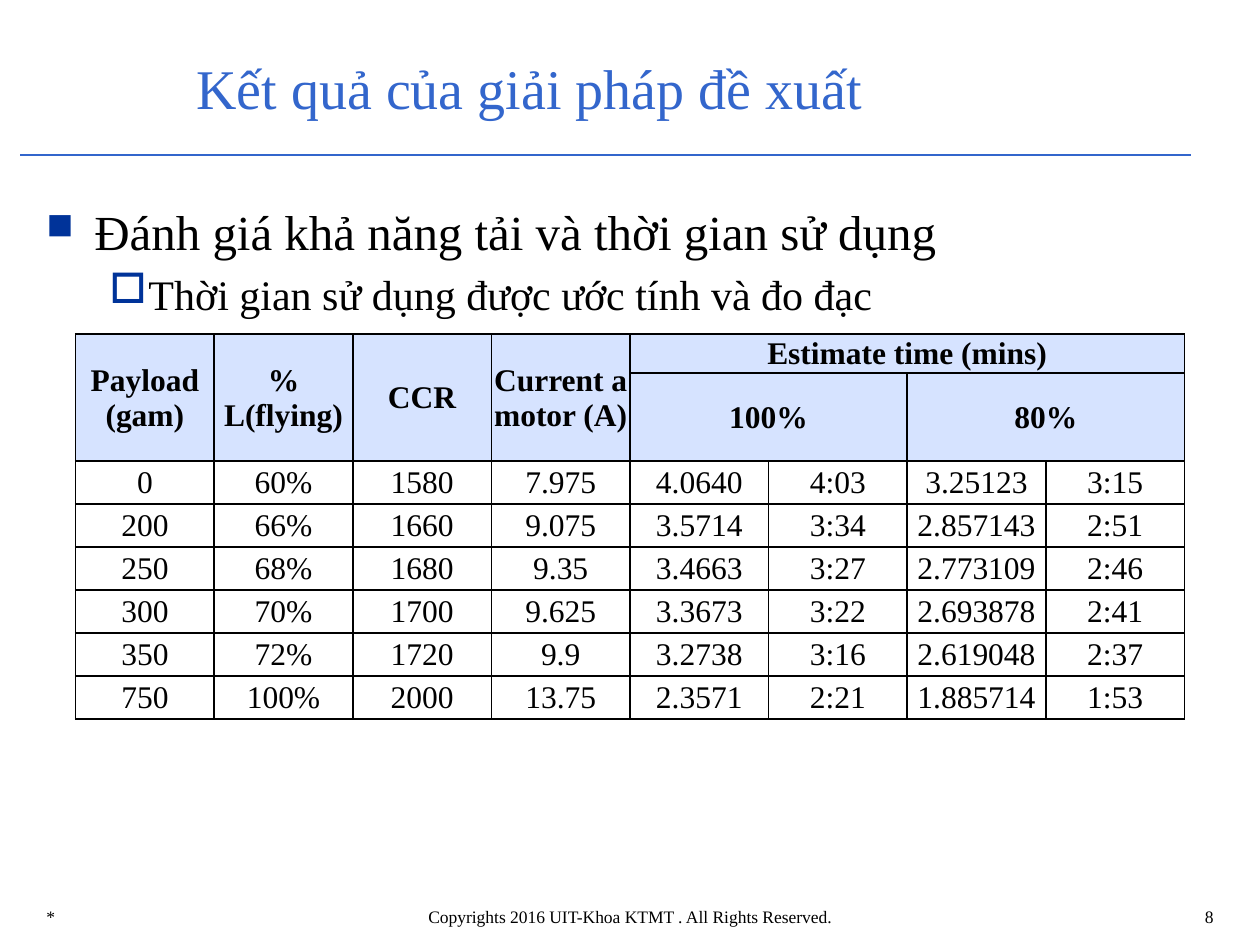
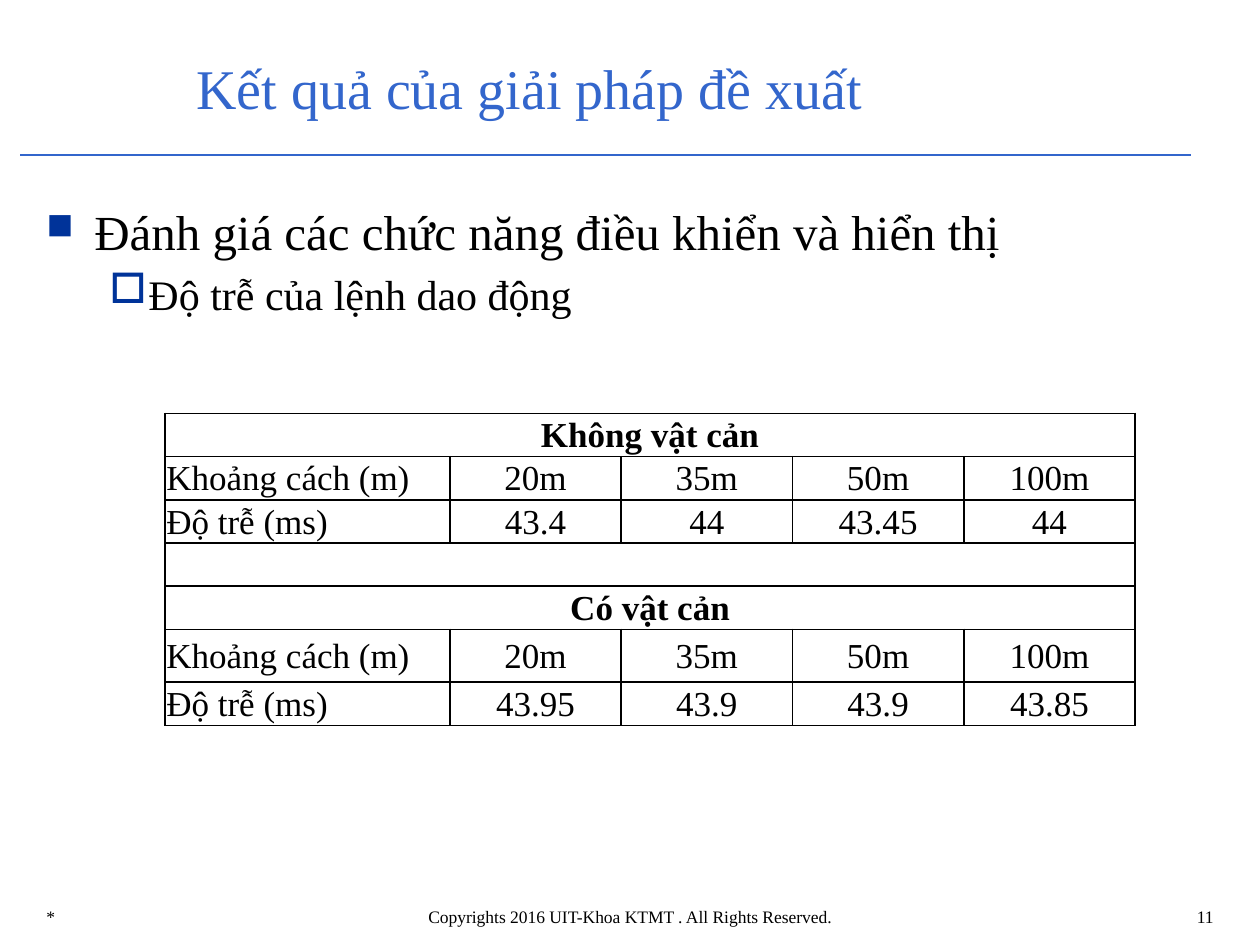
"""Build two result slides, each with a title, two bullet levels and a bordered table."""

from dataclasses import dataclass
from typing import Optional

from lxml.etree import SubElement
from pptx import Presentation
from pptx.dml.color import RGBColor
from pptx.enum.shapes import MSO_CONNECTOR
from pptx.enum.text import MSO_ANCHOR, MSO_AUTO_SIZE, PP_ALIGN
from pptx.oxml.ns import qn
from pptx.slide import Slide
from pptx.table import Table, _Cell
from pptx.text.text import TextFrame, _Paragraph
from pptx.util import Inches, Length, Pt

SLIDE_WIDTH, SLIDE_HEIGHT = Inches(10), Inches(7.5)
GRID_COLUMNS, GRID_ROWS = 100, 75
TITLE_ONLY_LAYOUT = 5

FONT_NAME = "Times New Roman"
BULLET_FONT_NAME = "Wingdings"
BLACK = RGBColor(0x00, 0x00, 0x00)
WHITE = RGBColor(0xFF, 0xFF, 0xFF)
TITLE_BLUE = RGBColor(0x33, 0x66, 0xCC)
BULLET_BLUE = RGBColor(0x00, 0x33, 0x99)
HEADING_BLUE = RGBColor(0xD6, 0xE3, 0xFF)

TITLE = "Kết quả của giải pháp đề xuất"
COPYRIGHT = "Copyrights 2016 UIT-Khoa KTMT . All Rights Reserved."


@dataclass(frozen=True)
class Box:
    """A rectangle in grid columns and rows."""

    column: float
    row: float
    columns: float
    rows: float

    def lengths(self) -> tuple[Length, Length, Length, Length]:
        """Return left, top, width and height."""
        return across(self.column), down(self.row), across(self.columns), down(self.rows)


@dataclass(frozen=True)
class BulletLevel:
    """The look of one bullet level, its symbol given as a key of the bullet font."""

    symbol: str
    symbol_percent: int
    size: float
    indent: float
    hanging: float
    space_before: float


@dataclass(frozen=True)
class Span:
    """A block of merged table cells."""

    row: int
    column: int
    rows: int
    columns: int


@dataclass(frozen=True)
class ResultTable:
    """The content and look of one table of results."""

    column: float
    row: float
    column_widths: list[float]
    row_heights: list[float]
    cells: list[list[str]]
    spans: list[Span]
    heading_rows: set[int]
    size: float
    heading_fill: RGBColor
    body_fill: Optional[RGBColor] = None
    labels_left: bool = False


@dataclass(frozen=True)
class ResultSlide:
    """One slide with its number, bullets and table."""

    number: str
    bullets: list[str]
    table: ResultTable


TITLE_BOX = Box(14.6, 3.1, 80.4, 7.6)
BODY_BOX = Box(2.7, 15.5, 94.5, 52.8)
DATE_BOX = Box(2.7, 71.4, 23.3, 3.2)
COPYRIGHT_BOX = Box(19.3, 71.4, 61.4, 3.2)
NUMBER_BOX = Box(78.1, 71.4, 19.2, 3.2)
RULE = Box(1.6, 12.3, 92.9, 0)

BULLET_LEVELS = [
    BulletLevel("n", 75, 28, 3.8, 3.8, 0),
    BulletLevel("o", 100, 24, 8.1, 3.1, 4.8),
]

PAYLOAD_TABLE = ResultTable(
    column=6,
    row=26.5,
    column_widths=[11] * 8,
    row_heights=[3.1, 7] + [3.41] * 6,
    cells=[
        ["Payload (gam)", "% L(flying)", "CCR", "Current a motor (A)",
         "Estimate time (mins)", "", "", ""],
        ["", "", "", "", "100%", "", "80%", ""],
        ["0", "60%", "1580", "7.975", "4.0640", "4:03", "3.25123", "3:15"],
        ["200", "66%", "1660", "9.075", "3.5714", "3:34", "2.857143", "2:51"],
        ["250", "68%", "1680", "9.35", "3.4663", "3:27", "2.773109", "2:46"],
        ["300", "70%", "1700", "9.625", "3.3673", "3:22", "2.693878", "2:41"],
        ["350", "72%", "1720", "9.9", "3.2738", "3:16", "2.619048", "2:37"],
        ["750", "100%", "2000", "13.75", "2.3571", "2:21", "1.885714", "1:53"],
    ],
    spans=[Span(0, column, 2, 1) for column in range(4)]
    + [Span(0, 4, 1, 4), Span(1, 4, 1, 2), Span(1, 6, 1, 2)],
    heading_rows={0, 1},
    size=18,
    heading_fill=HEADING_BLUE,
)

DISTANCES = ["Khoảng cách (m)", "20m", "35m", "50m", "100m"]
DELAY_TABLE = ResultTable(
    column=13.1,
    row=32.8,
    column_widths=[22.6] + [13.6] * 4,
    row_heights=[3.4] * 5 + [4.2, 3.4],
    cells=[
        ["Không vật cản", "", "", "", ""],
        DISTANCES,
        ["Độ trễ (ms)", "43.4", "44", "43.45", "44"],
        [""] * 5,
        ["Có vật cản", "", "", "", ""],
        DISTANCES,
        ["Độ trễ (ms)", "43.95", "43.9", "43.9", "43.85"],
    ],
    spans=[Span(row, 0, 1, 5) for row in (0, 3, 4)],
    heading_rows={0, 4},
    size=20,
    heading_fill=WHITE,
    body_fill=WHITE,
    labels_left=True,
)

RESULT_SLIDES = [
    ResultSlide(
        "8",
        ["Đánh giá khả năng tải và thời gian sử dụng",
         "Thời gian sử dụng được ước tính và đo đạc"],
        PAYLOAD_TABLE,
    ),
    ResultSlide(
        "11",
        ["Đánh giá các chức năng điều khiển và hiển thị", "Độ trễ của lệnh dao động"],
        DELAY_TABLE,
    ),
]


def across(columns: float) -> Length:
    """Turn grid columns into a length."""
    return Length(round(SLIDE_WIDTH * columns / GRID_COLUMNS))


def down(rows: float) -> Length:
    """Turn grid rows into a length."""
    return Length(round(SLIDE_HEIGHT * rows / GRID_ROWS))


def format_runs(
    paragraph: _Paragraph, size: float, color: RGBColor = BLACK, bold: bool = False
) -> None:
    """Give every run of a paragraph the shared font."""
    for run in paragraph.runs:
        run.font.name = FONT_NAME
        run.font.size = Pt(size)
        run.font.bold = bold
        run.font.color.rgb = color


def add_text_frame(slide: Slide, box: Box) -> TextFrame:
    """Add a wrapping text box and return its frame."""
    text_frame = slide.shapes.add_textbox(*box.lengths()).text_frame
    text_frame.word_wrap = True
    return text_frame


def set_title(slide: Slide) -> None:
    """Move, fill and format the title placeholder."""
    title = slide.shapes.title
    title.left, title.top, title.width, title.height = TITLE_BOX.lengths()
    text_frame = title.text_frame
    text_frame.text = TITLE
    text_frame.auto_size = MSO_AUTO_SIZE.NONE
    text_frame.vertical_anchor = MSO_ANCHOR.MIDDLE
    paragraph = text_frame.paragraphs[0]
    paragraph.alignment = PP_ALIGN.LEFT
    format_runs(paragraph, 32, TITLE_BLUE)


def add_rule(slide: Slide) -> None:
    """Draw the line below the title."""
    left, top, width, _ = RULE.lengths()
    rule = slide.shapes.add_connector(MSO_CONNECTOR.STRAIGHT, left, top, left + width, top)
    rule.line.color.rgb = TITLE_BLUE
    rule.line.width = Pt(0.75)
    SubElement(rule._element.spPr, qn("a:effectLst"))


def add_footer(slide: Slide, number: str) -> None:
    """Add the date mark, copyright line and slide number."""
    for box, text, alignment in (
        (DATE_BOX, "*", PP_ALIGN.LEFT),
        (COPYRIGHT_BOX, COPYRIGHT, PP_ALIGN.CENTER),
        (NUMBER_BOX, number, PP_ALIGN.RIGHT),
    ):
        paragraph = add_text_frame(slide, box).paragraphs[0]
        paragraph.text = text
        paragraph.alignment = alignment
        format_runs(paragraph, 10)


def set_bullet(paragraph: _Paragraph, level: BulletLevel) -> None:
    """Give a paragraph its indent and coloured bullet."""
    properties = paragraph._p.get_or_add_pPr()
    properties.set("marL", str(across(level.indent)))
    properties.set("indent", str(-across(level.hanging)))
    color = SubElement(properties, qn("a:buClr"))
    SubElement(color, qn("a:srgbClr"), val=str(BULLET_BLUE))
    SubElement(properties, qn("a:buSzPct"), val=str(level.symbol_percent * 1000))
    SubElement(properties, qn("a:buFont"), typeface=BULLET_FONT_NAME, charset="2")
    SubElement(properties, qn("a:buChar"), char=level.symbol)


def add_bullets(slide: Slide, bullets: list[str]) -> None:
    """Add one paragraph for each bullet level."""
    text_frame = add_text_frame(slide, BODY_BOX)
    text_frame.text = "\n".join(bullets)
    for depth, (paragraph, level) in enumerate(zip(text_frame.paragraphs, BULLET_LEVELS)):
        set_bullet(paragraph, level)
        paragraph.level = depth
        paragraph.space_before = Pt(level.space_before)
        format_runs(paragraph, level.size)


def set_borders(cell: _Cell) -> None:
    """Draw a thin black border on all sides of a cell."""
    properties = cell._tc.get_or_add_tcPr()
    for side in ("a:lnL", "a:lnR", "a:lnT", "a:lnB"):
        line = SubElement(properties, qn(side), w=str(Pt(1)))
        fill = SubElement(line, qn("a:solidFill"))
        SubElement(fill, qn("a:srgbClr"), val=str(BLACK))


def format_cell(cell: _Cell, result: ResultTable, row: int, column: int) -> None:
    """Fill one cell with its text, border and background."""
    heading = row in result.heading_rows
    cell.margin_left = cell.margin_right = cell.margin_top = Inches(0.01)
    cell.margin_bottom = 0
    cell.vertical_anchor = MSO_ANCHOR.MIDDLE
    set_borders(cell)
    color = result.heading_fill if heading else result.body_fill
    if color is None:
        cell.fill.background()
    else:
        cell.fill.solid()
        cell.fill.fore_color.rgb = color
    paragraph = cell.text_frame.paragraphs[0]
    paragraph.text = result.cells[row][column]
    label = result.labels_left and column == 0 and not heading
    paragraph.alignment = PP_ALIGN.LEFT if label else PP_ALIGN.CENTER
    format_runs(paragraph, result.size, bold=heading)


def add_result_table(slide: Slide, result: ResultTable) -> None:
    """Add a table of results with its merged cells."""
    widths, heights = result.column_widths, result.row_heights
    box = Box(result.column, result.row, sum(widths), sum(heights))
    table: Table = slide.shapes.add_table(len(heights), len(widths), *box.lengths()).table
    table.first_row = table.horz_banding = False
    for column, width in zip(table.columns, widths):
        column.width = across(width)
    for row, height in zip(table.rows, heights):
        row.height = down(height)
    for row in range(len(heights)):
        for column in range(len(widths)):
            format_cell(table.cell(row, column), result, row, column)
    for span in result.spans:
        last = table.cell(span.row + span.rows - 1, span.column + span.columns - 1)
        table.cell(span.row, span.column).merge(last)


def main() -> None:
    """Build and save the presentation."""
    presentation = Presentation()
    presentation.slide_width, presentation.slide_height = SLIDE_WIDTH, SLIDE_HEIGHT
    for result in RESULT_SLIDES:
        slide = presentation.slides.add_slide(presentation.slide_layouts[TITLE_ONLY_LAYOUT])
        add_rule(slide)
        set_title(slide)
        add_footer(slide, result.number)
        add_bullets(slide, result.bullets)
        add_result_table(slide, result.table)
    presentation.save("out.pptx")


if __name__ == "__main__":
    main()
